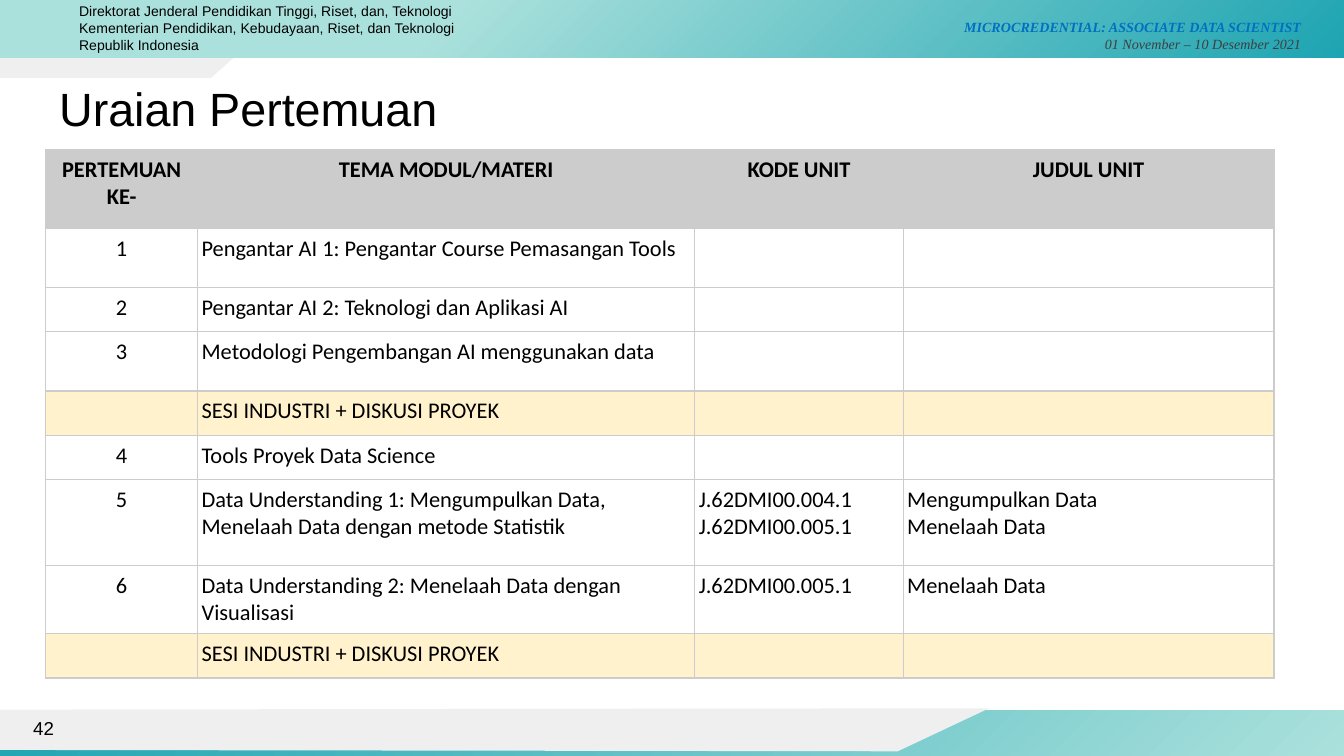
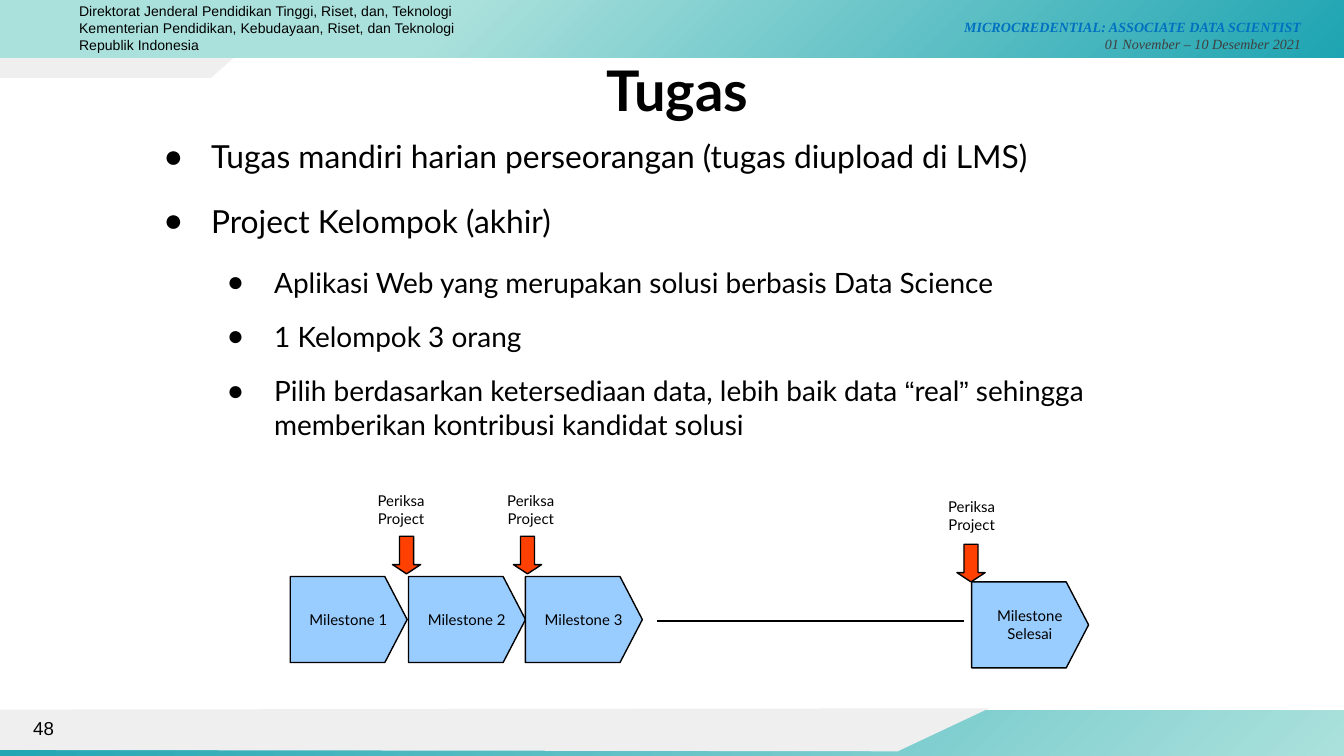
from lxml import etree
from pptx import Presentation
from pptx.dml.color import RGBColor
from pptx.enum.shapes import MSO_CONNECTOR, MSO_SHAPE
from pptx.enum.text import MSO_ANCHOR, MSO_AUTO_SIZE, PP_ALIGN
from pptx.oxml import parse_xml
from pptx.oxml.ns import nsdecls, qn
from pptx.util import Inches, Pt

LEFT, CENTER, RIGHT = PP_ALIGN.LEFT, PP_ALIGN.CENTER, PP_ALIGN.RIGHT
TOP, MIDDLE = MSO_ANCHOR.TOP, MSO_ANCHOR.MIDDLE
RECTANGLE, PENTAGON = MSO_SHAPE.RECTANGLE, MSO_SHAPE.PENTAGON
DOWN_ARROW = MSO_SHAPE.DOWN_ARROW
STRAIGHT = MSO_CONNECTOR.STRAIGHT
TITLE_ONLY = 5

BLACK, GREY, SILVER, CREAM = "000000", "EFEFEF", "CCCCCC", "FFF2CC"
AQUA, TEAL = "ABE1DC", "1EA4B2"
SKY, ORANGE, BLUE, DARK = "99CCFF", "FF4000", "0070C0", "3F3F3F"
SANS, LATO, SERIF, CALIBRI = "Arial", "Lato", "Times New Roman", "Calibri"
INSETS = (0.1, 0.05, 0.1, 0.05)
SMALL_INSETS = (0.07, 0.03, 0.07, 0.03)
NO_INSETS = (0, 0, 0, 0)

COLUMN_WIDTHS = (1.13, 3.7, 1.55, 2.76)
ROW_HEIGHTS = (0.59, 0.44, 0.33, 0.44, 0.33, 0.33, 0.64, 0.5, 0.33)
INDUSTRY = ("", "SESI INDUSTRI + DISKUSI PROYEK", "", "")
MEETINGS = (
    ("PERTEMUAN KE-", "TEMA MODUL/MATERI", "KODE UNIT", "JUDUL UNIT"),
    ("1", "Pengantar AI 1: Pengantar Course Pemasangan Tools", "", ""),
    ("2", "Pengantar AI 2: Teknologi dan Aplikasi AI", "", ""),
    ("3", "Metodologi Pengembangan AI menggunakan data", "", ""),
    INDUSTRY,
    ("4", "Tools Proyek Data Science", "", ""),
    ("5", "Data Understanding 1: Mengumpulkan Data, Menelaah Data dengan metode Statistik",
     "J.62DMI00.004.1\vJ.62DMI00.005.1", "Mengumpulkan Data\vMenelaah Data"),
    ("6", "Data Understanding 2: Menelaah Data dengan Visualisasi",
     "J.62DMI00.005.1", "Menelaah Data"),
    INDUSTRY,
)
# Level, space before, text runs with their fonts
TASKS = (
    (0, 0, [("Tugas mandiri harian perseorangan (tugas diupload di LMS)", LATO)]),
    (0, 14, [("Project Kelompok (akhir)", LATO)]),
    (1, 14, [("Aplikasi Web yang merupakan solusi berbasis Data Science", LATO)]),
    (1, 11, [("1 Kelompok 3 orang", LATO)]),
    (1, 11, [("Pilih berdasarkan ketersediaan data, lebih baik data ", LATO), ("“", SANS),
             ("real", LATO), ("”", SANS),
             (" sehingga memberikan kontribusi kandidat solusi", LATO)]),
)
MILESTONES = (
    (2.16, 4.29, ["Milestone 1"]),
    (3.04, 4.29, ["Milestone 2"]),
    (3.91, 4.29, ["Milestone 3"]),
    (7.23, 4.33, ["Milestone", "Selesai"]),
)
# Arrow left and top, then label left, top and width
CHECKS = (
    (2.92, 3.99, 2.55, 3.63, 0.87),
    (3.82, 3.99, 3.52, 3.63, 0.86),
    (7.12, 4.05, 6.84, 3.67, 0.78),
)


def rgb(value):
    return RGBColor.from_string(value)


def inches(*values):
    return [Inches(value) for value in values]


def set_font(font, name, size, color=BLACK, bold=False, italic=False):
    font.name, font.size = name, Pt(size)
    font.bold, font.italic = bold, italic
    font.color.rgb = rgb(color)


def set_frame(frame, insets, anchor):
    frame.word_wrap = True
    frame.auto_size = MSO_AUTO_SIZE.NONE
    frame.vertical_anchor = anchor
    (frame.margin_left, frame.margin_top,
     frame.margin_right, frame.margin_bottom) = inches(*insets)


def write(frame, lines, name, size, align=LEFT, insets=INSETS, anchor=TOP, bold=False):
    set_frame(frame, insets, anchor)
    frame.text = "\n".join(lines)
    for para in frame.paragraphs:
        para.alignment = align
        set_font(para.font, name, size, bold=bold)


def add_text(page, box, *args, **style):
    write(page.shapes.add_textbox(*inches(*box)).text_frame, *args, **style)


def add_preset(page, preset, box, color, adjustments=()):
    shape = page.shapes.add_shape(preset, *inches(*box))
    shape.shadow.inherit = False
    shape.fill.solid()
    shape.fill.fore_color.rgb = rgb(color)
    shape.line.color.rgb = rgb(BLACK)
    shape.line.width = Pt(0.75)
    for index, value in enumerate(adjustments):
        shape.adjustments[index] = value
    return shape


def add_gradient_band(page, box, stops):
    """Add a band whose gradient radiates from its lower right corner."""
    band = add_preset(page, RECTANGLE, box, AQUA)
    band.line.fill.background()
    marks = "".join(f'<a:gs pos="{share * 1000}"><a:srgbClr val="{color}"/></a:gs>'
                    for share, color in stops)
    gradient = parse_xml(
        f'<a:gradFill {nsdecls("a")} rotWithShape="1"><a:gsLst>{marks}</a:gsLst>'
        '<a:path path="circle"><a:fillToRect l="100000" t="100000"/></a:path></a:gradFill>')
    properties = band._element.spPr
    properties.replace(properties.find(qn("a:solidFill")), gradient)


def add_tab(page, points):
    start, *others = [inches(*point) for point in points]
    builder = page.shapes.build_freeform(*start)
    builder.add_line_segments(others, close=True)
    tab = builder.convert_to_shape()
    tab.shadow.inherit = False
    tab.fill.solid()
    tab.fill.fore_color.rgb = rgb(GREY)
    tab.line.fill.background()


def add_course_name(page, box):
    frame = page.shapes.add_textbox(*inches(*box)).text_frame
    set_frame(frame, (0.1, 0.09, 0.1, 0.05), TOP)
    para = frame.paragraphs[0]
    para.alignment = RIGHT
    course = para.add_run()
    course.text = "MICROCREDENTIAL: ASSOCIATE DATA SCIENTIST"
    set_font(course.font, SERIF, 7.5, BLUE, bold=True, italic=True)
    para.add_line_break()
    dates = para.add_run()
    dates.text = "01 November – 10 Desember 2021"
    set_font(dates.font, SERIF, 7.5, DARK, italic=True)


def add_page(deck, number, title, box, *args, **style):
    """Start a page with its bands, header texts, title and number."""
    page = deck.slides.add_slide(deck.slide_layouts[TITLE_ONLY])
    add_tab(page, [(1.83, 0.35), (0, 0.33), (0, 0.58), (1.57, 0.58)])
    add_gradient_band(page, (0, 5.29, 10, 0.36), [(0, AQUA), (100, TEAL)])
    add_tab(page, [(7.36, 5.27), (0, 5.28), (0, 5.58), (6.68, 5.59)])
    add_gradient_band(page, (0, 0, 10, 0.43), [(0, TEAL), (67, AQUA), (100, AQUA)])
    add_course_name(page, (5.95, 0.05, 3.83, 0.39))
    add_text(page, (0.49, -0.03, 3.33, 0.48),
             ["Direktorat Jenderal Pendidikan Tinggi, Riset, dan, Teknologi",
              "Kementerian Pendidikan, Kebudayaan, Riset, dan Teknologi Republik Indonesia"],
             SANS, 7.5)
    heading = page.shapes.title
    heading.left, heading.top, heading.width, heading.height = inches(*box)
    write(heading.text_frame, [title], *args, anchor=MIDDLE, **style)
    page.shapes._spTree.append(heading._element)  # title in front of the bands
    add_text(page, (0, 5.27, 0.5, 0.3), [str(number)], SANS, 10, align=RIGHT, anchor=MIDDLE)
    return page


def add_borders(cell):
    properties = cell._tc.get_or_add_tcPr()
    for side in "LRTB":
        properties.append(parse_xml(
            f'<a:ln{side} {nsdecls("a")} w="9525"><a:solidFill>'
            f'<a:srgbClr val="{SILVER}"/></a:solidFill></a:ln{side}>'))


def fill_cell(cell, text, color, align, bold):
    add_borders(cell)
    if color:
        cell.fill.solid()
        cell.fill.fore_color.rgb = rgb(color)
    else:
        cell.fill.background()
    cell.margin_left = cell.margin_right = Inches(0.03)
    cell.margin_top = cell.margin_bottom = Inches(0.05 if text else 0)
    cell.text = text
    para = cell.text_frame.paragraphs[0]
    para.alignment = align
    set_font(para.font, CALIBRI, 12, bold=bold)


def add_meeting_table(page, left, top):
    table = page.shapes.add_table(
        len(MEETINGS), len(COLUMN_WIDTHS),
        *inches(left, top, sum(COLUMN_WIDTHS), sum(ROW_HEIGHTS))).table
    table.first_row = table.horz_banding = False
    for column, width in zip(table.columns, COLUMN_WIDTHS):
        column.width = Inches(width)
    for index, (row, height, texts) in enumerate(zip(table.rows, ROW_HEIGHTS, MEETINGS)):
        row.height = Inches(height)
        header = index == 0
        color = SILVER if header else CREAM if texts is INDUSTRY else None
        for place, (cell, text) in enumerate(zip(row.cells, texts)):
            fill_cell(cell, text, color, CENTER if header or place == 0 else LEFT, header)


def add_bullet(para, level):
    properties = para._p.get_or_add_pPr()
    properties.set("marL", str(Inches(0.47 * (level + 1))))
    properties.set("indent", str(Inches(-0.35)))
    color = etree.SubElement(properties, qn("a:buClr"))
    etree.SubElement(color, qn("a:srgbClr"), val=BLACK)
    etree.SubElement(properties, qn("a:buFont"), typeface=SANS)
    etree.SubElement(properties, qn("a:buChar"), char="●")


def add_task_list(page, box):
    frame = page.shapes.add_textbox(*inches(*box)).text_frame
    set_frame(frame, NO_INSETS, TOP)
    for index, (level, space, spans) in enumerate(TASKS):
        para = frame.add_paragraph() if index else frame.paragraphs[0]
        para.level = level
        if space:
            para.space_before = Pt(space)
        add_bullet(para, level)
        set_font(para.font, LATO, 15 if level else 17)
        for text, name in spans:
            span = para.add_run()
            span.text = text
            if name != LATO:
                span.font.name = name


def add_timeline(page):
    for left, top, lines in MILESTONES:
        step = add_preset(page, PENTAGON, (left, top, 0.87, 0.64), SKY, [0.26])
        write(step.text_frame, lines, LATO, 8, align=CENTER,
              insets=(0.08, 0.03, 0, 0.03), anchor=MIDDLE)
    line = page.shapes.add_connector(STRAIGHT, *inches(4.89, 4.62, 7.17, 4.62))
    line.line.color.rgb = rgb(BLACK)
    line.line.width = Pt(1)
    etree.SubElement(line._element.spPr, qn("a:effectLst"))
    for left, top, label_left, label_top, label_width in CHECKS:
        add_preset(page, DOWN_ARROW, (left, top, 0.21, 0.28), ORANGE, [0.5, 0.33])
        add_text(page, (label_left, label_top, label_width, 0.34), ["Periksa", "Project"],
                 LATO, 8, align=CENTER, insets=SMALL_INSETS)


def add_meetings_page(deck):
    page = add_page(deck, 42, "Uraian Pertemuan", (0.34, 0.49, 9.32, 0.63), SANS, 25)
    add_meeting_table(page, 0.34, 1.11)


def add_tasks_page(deck):
    page = add_page(deck, 48, "Tugas", (1.61, 0.38, 6.86, 0.57), LATO, 30,
                    align=CENTER, insets=NO_INSETS, bold=True)
    add_task_list(page, (1.1, 1.02, 7.32, 2.34))
    add_timeline(page)


def main():
    deck = Presentation()
    deck.slide_width = Inches(10)
    deck.slide_height = deck.slide_width * 9 // 16
    add_meetings_page(deck)
    add_tasks_page(deck)
    deck.save("out.pptx")


if __name__ == "__main__":
    main()
